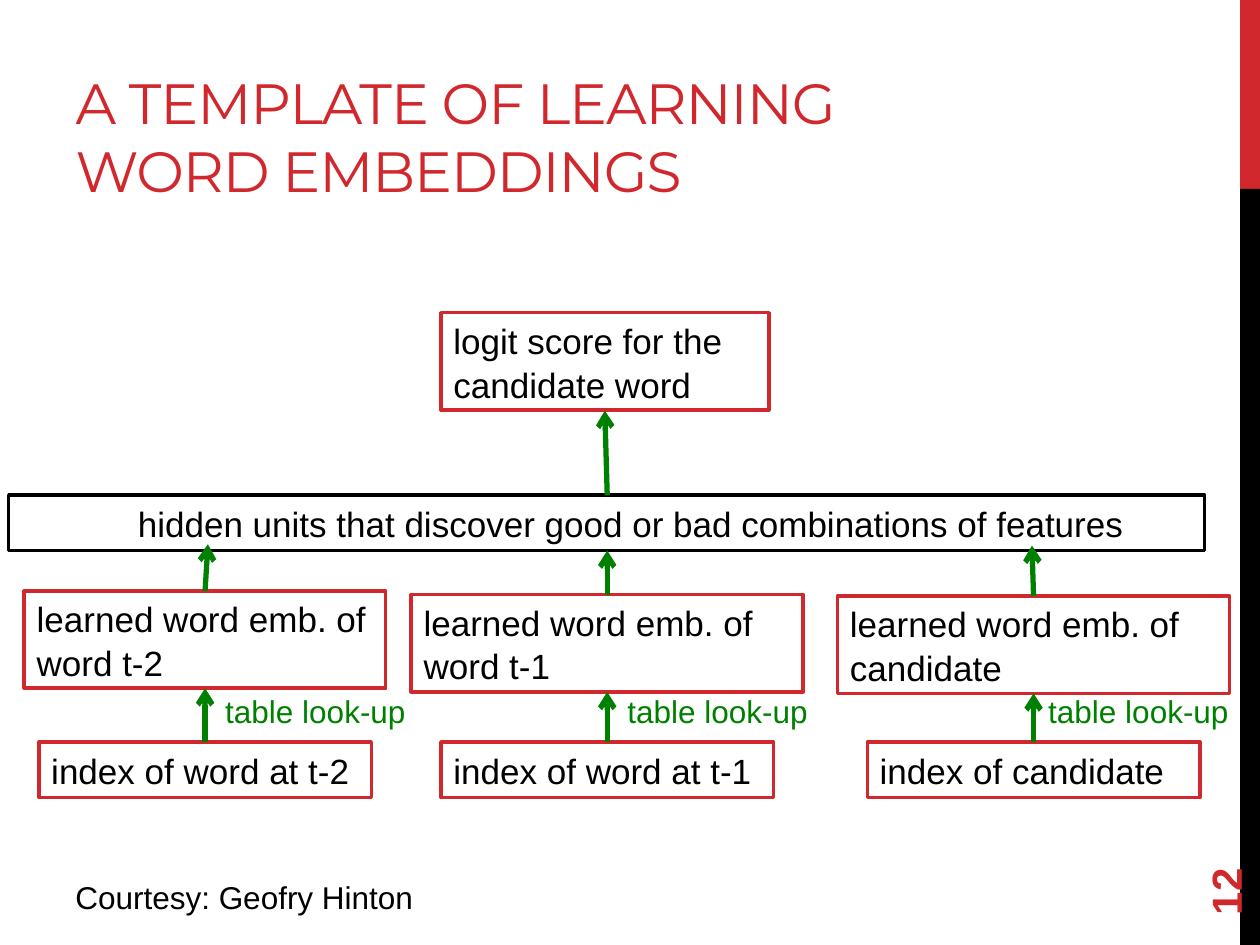
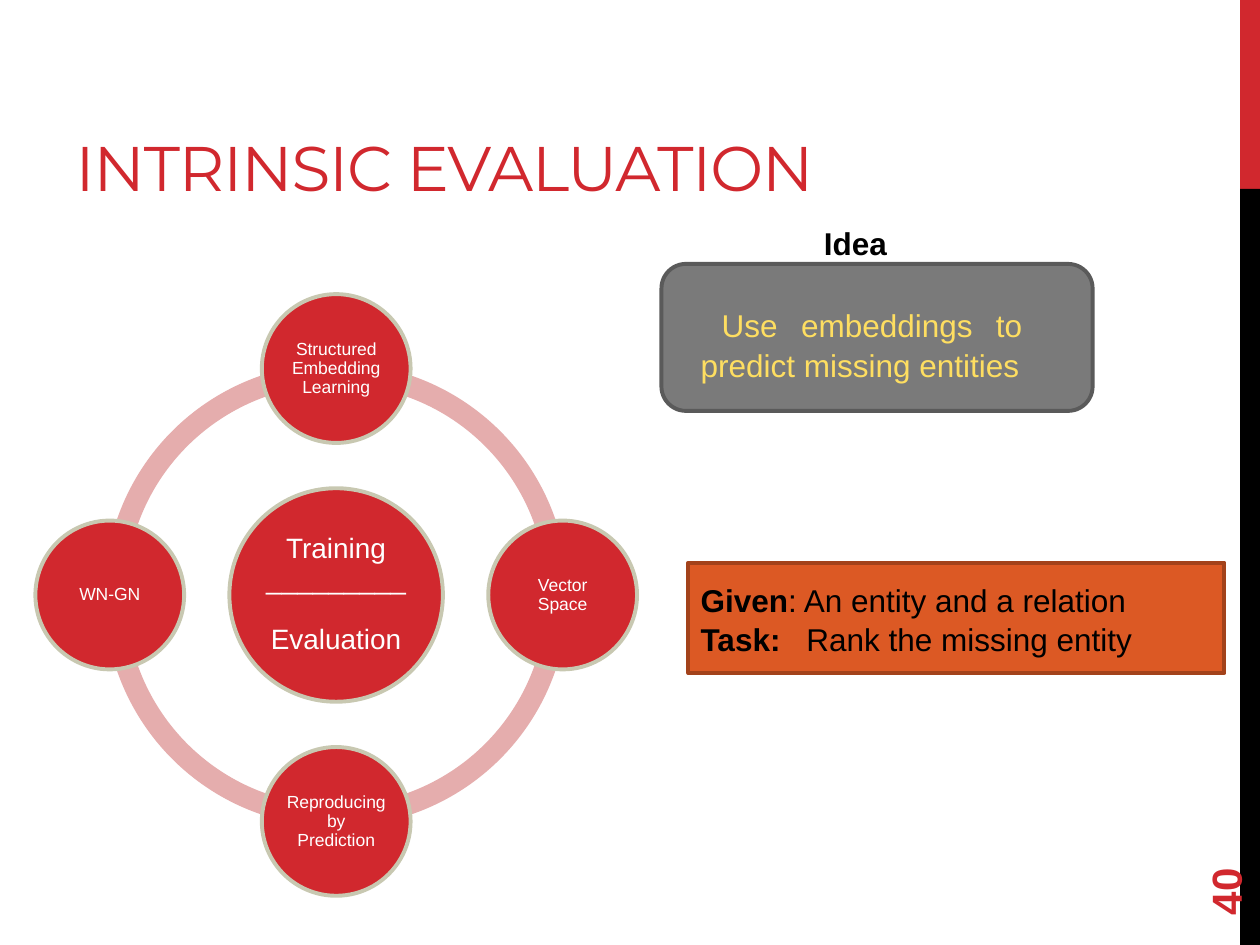
from dataclasses import dataclass
from math import cos, pi, sin

from lxml import etree
from pptx import Presentation
from pptx.dml.color import RGBColor
from pptx.enum.shapes import MSO_CONNECTOR, MSO_SHAPE
from pptx.enum.text import MSO_ANCHOR, MSO_AUTO_SIZE, PP_ALIGN
from pptx.oxml.ns import qn
from pptx.util import Pt

RECT, ROUND, OVAL, ARC = (MSO_SHAPE.RECTANGLE, MSO_SHAPE.ROUNDED_RECTANGLE,
                          MSO_SHAPE.OVAL, MSO_SHAPE.BLOCK_ARC)
LEFT, CENTER, JUST = PP_ALIGN.LEFT, PP_ALIGN.CENTER, PP_ALIGN.JUSTIFY
TOP, MIDDLE, BOTTOM = MSO_ANCHOR.TOP, MSO_ANCHOR.MIDDLE, MSO_ANCHOR.BOTTOM
FIXED, STRAIGHT = MSO_AUTO_SIZE.NONE, MSO_CONNECTOR.STRAIGHT


@dataclass(frozen=True)
class Theme:
    red: str = "D1282E"
    black: str = "000000"
    white: str = "FFFFFF"
    green: str = "008000"
    pink: str = "E5ADAD"
    rim: str = "C8C8B1"
    gray: str = "7A7A7A"
    edge: str = "5A5A5A"
    gold: str = "FEDE61"
    rust: str = "DC5924"
    brown: str = "A3421B"
    body: str = "Arial"
    head: str = "Montserrat"
    large: float = 20
    base: float = 18
    mid: float = 16
    small: float = 10
    page: float = 24
    long: float = 32.4
    short: float = 36


T = Theme()
WIDE, HIGH = 720, 540

MODEL = {
    "title": "A TEMPLATE OF LEARNING WORD EMBEDDINGS", "size": T.long, "page": "12",
    "score": "logit score for the candidate word",
    "hidden": "hidden units that discover good or bad combinations of features",
    "look": "table look-up",
    "credit": "Courtesy: Geofry Hinton",
}
COLS = [
    {"emb": "learned word emb. of word t-2", "index": "index of word at t-2",
     "mid": 117.2, "wide": 206.6, "top": 337.7, "tip": (118.8, 311), "gap": 4.4},
    {"emb": "learned word emb. of word t-1", "index": "index of word at t-1",
     "mid": 347, "wide": 224, "top": 339.8, "tip": (347, 314.6), "gap": 4.4},
    {"emb": "learned word emb. of candidate", "index": "index of candidate",
     "mid": 590.6, "wide": 224, "top": 340.6, "tip": (589.7, 311.8), "gap": 1.3},
]
EVAL = {
    "title": "INTRINSIC EVALUATION", "size": T.short, "page": "40",
    "core": ["Training", "_________", "Evaluation"],
    "nodes": [["Structured", "Embedding", "Learning"], ["Vector", "Space"],
              ["Reproducing", "by", "Prediction"], ["WN-GN"]],
    "idea": "Idea",
    "use": "Use embeddings to predict missing entities",
    "task": [[("Given", True), (": An entity and a relation", False)],
             [("Task:", True), ("\tRank the missing entity", False)]],
}


def rgb(tone):
    return RGBColor.from_string(tone)


def put(shape, paras, size=T.base, tone=T.black, font=T.body, bold=False,
        align=LEFT, anchor=TOP, pad=(7.2, 3.6, 7.2, 3.6), wrap=True,
        lines=None, before=(), kern=0, indent=0, tab=0):
    body = shape.text_frame
    body.auto_size = FIXED
    body.word_wrap = wrap
    body.vertical_anchor = anchor
    (body.margin_left, body.margin_top,
     body.margin_right, body.margin_bottom) = map(Pt, pad)
    for i, para in enumerate([paras] if isinstance(paras, str) else paras):
        p = body.paragraphs[0] if i == 0 else body.add_paragraph()
        p.alignment = align
        if lines:
            p.line_spacing = lines
        if i < len(before):
            p.space_before = Pt(before[i])
        props = p._p.get_or_add_pPr()
        if indent:
            props.set("indent", str(Pt(indent)))
        if tab:
            stops = etree.SubElement(props, qn("a:tabLst"))
            etree.SubElement(stops, qn("a:tab"), pos=str(Pt(tab)), algn="l")
        for words, heavy in [(para, bold)] if isinstance(para, str) else para:
            run = p.add_run()
            run.text = words
            run.font.name, run.font.size, run.font.bold = font, Pt(size), heavy
            run.font.color.rgb = rgb(tone)
            if kern:
                run._r.get_or_add_rPr().set("spc", str(kern))
    return shape


def draw(slide, kind, x, y, w, h, fill=None, line=None, width=2.25):
    shape = slide.shapes.add_shape(kind, Pt(x), Pt(y), Pt(w), Pt(h))
    shape.shadow.inherit = False
    if fill:
        shape.fill.solid()
        shape.fill.fore_color.rgb = rgb(fill)
    else:
        shape.fill.background()
    if line:
        shape.line.color.rgb = rgb(line)
        shape.line.width = Pt(width)
    else:
        shape.line.fill.background()
    return shape


def label(slide, x, y, w, h, paras, **form):
    box = slide.shapes.add_textbox(Pt(x), Pt(y), Pt(w), Pt(h))
    return put(box, paras, **form)


def frame(slide, x, y, w, h, words, line=T.red, **form):
    put(draw(slide, RECT, x, y, w, h, line=line, width=2), words,
        size=T.large, anchor=MIDDLE, lines=1.04, **form)


def arrow(slide, start, end):
    link = slide.shapes.add_connector(STRAIGHT, *map(Pt, (*start, *end)))
    link.line.color.rgb = rgb(T.green)
    link.line.width = Pt(3)
    props = link._element.spPr
    etree.SubElement(props.get_or_add_ln(), qn("a:tailEnd"), type="arrow")
    etree.SubElement(props, qn("a:effectLst"))


def disc(slide, x, y, span, paras, **form):
    oval = draw(slide, OVAL, x - span / 2, y - span / 2, span, span, T.red, T.rim)
    put(oval, paras, tone=T.white, align=CENTER, anchor=MIDDLE,
        pad=(0, 0, 0, 0), wrap=False, lines=0.9, **form)


def start(deck, data):
    slide = deck.slides.add_slide(deck.slide_layouts[5])
    draw(slide, RECT, 708.6, 0, WIDE - 708.6, 108, T.red)
    draw(slide, RECT, 708.6, 108, WIDE - 708.6, HIGH - 108, T.black)
    title = slide.shapes.title
    title.left, title.top, title.width, title.height = map(Pt, (36, 12, 456, 108))
    put(title, data["title"], size=data["size"], tone=T.red, font=T.head,
        anchor=BOTTOM, kern=-60)
    page = label(slide, 648, 463.5, 104, 29, data["page"], size=T.page,
                 tone=T.red, bold=True, anchor=MIDDLE)
    page.rotation = 270
    return slide


def model(deck):
    slide = start(deck, MODEL)
    tall, low, base = 55.6, 31.7, 424
    frame(slide, 252, 178.7, 187.4, tall, MODEL["score"])
    frame(slide, 5, 283, 683.5, low, MODEL["hidden"], line=T.black,
          pad=(73.8, 3.6, 0, 3.6))
    arrow(slide, (347, 283), (345.6, 234.7))
    for col in COLS:
        mid, wide, top = col["mid"], col["wide"], col["top"]
        frame(slide, mid - wide / 2, top, wide, tall, col["emb"])
        frame(slide, mid - 95, base, 190, low, col["index"])
        arrow(slide, (mid, top), col["tip"])
        arrow(slide, (mid, base), (mid, top + tall))
        label(slide, mid + col["gap"], 391, 120, 29, MODEL["look"],
              tone=T.green, lines=1.04)
    label(slide, 36, 498.3, 216, 29, MODEL["credit"])


def evaluate(deck):
    slide = start(deck, EVAL)
    x, y, ring, reach = 192.1, 340, 265, 129.4
    for turn in range(4):
        arc = draw(slide, ARC, x - ring / 2, y - ring / 2, ring, ring, T.pink)
        arc.adjustments[0] = 54 * turn
        arc.adjustments[1] = 54 * ((turn + 1) % 4)
        arc.adjustments[2] = 0.046
    disc(slide, x, y, 122, EVAL["core"], size=T.mid, before=(0, 0, 17))
    for i, node in enumerate(EVAL["nodes"]):
        turn = i * pi / 2
        disc(slide, x + reach * sin(turn), y - reach * cos(turn), 85, node,
             size=T.small)
    draw(slide, ROUND, 378, 150.8, 246.4, 84, T.gray, T.edge)
    label(slide, 393.3, 170.6, 198, 51, EVAL["use"], tone=T.gold, align=JUST,
          indent=12, lines=1.04)
    draw(slide, RECT, 393.3, 321.6, 306.4, 63, T.rust, T.brown)
    label(slide, 393.3, 327.6, 311.8, 51, EVAL["task"], tab=60.5, lines=1.04)
    label(slide, 463.7, 124.6, 51, 29, EVAL["idea"], bold=True, wrap=False)


def main():
    deck = Presentation()
    deck.slide_width, deck.slide_height = Pt(WIDE), Pt(HIGH)
    model(deck)
    evaluate(deck)
    deck.save("out.pptx")


if __name__ == "__main__":
    main()
